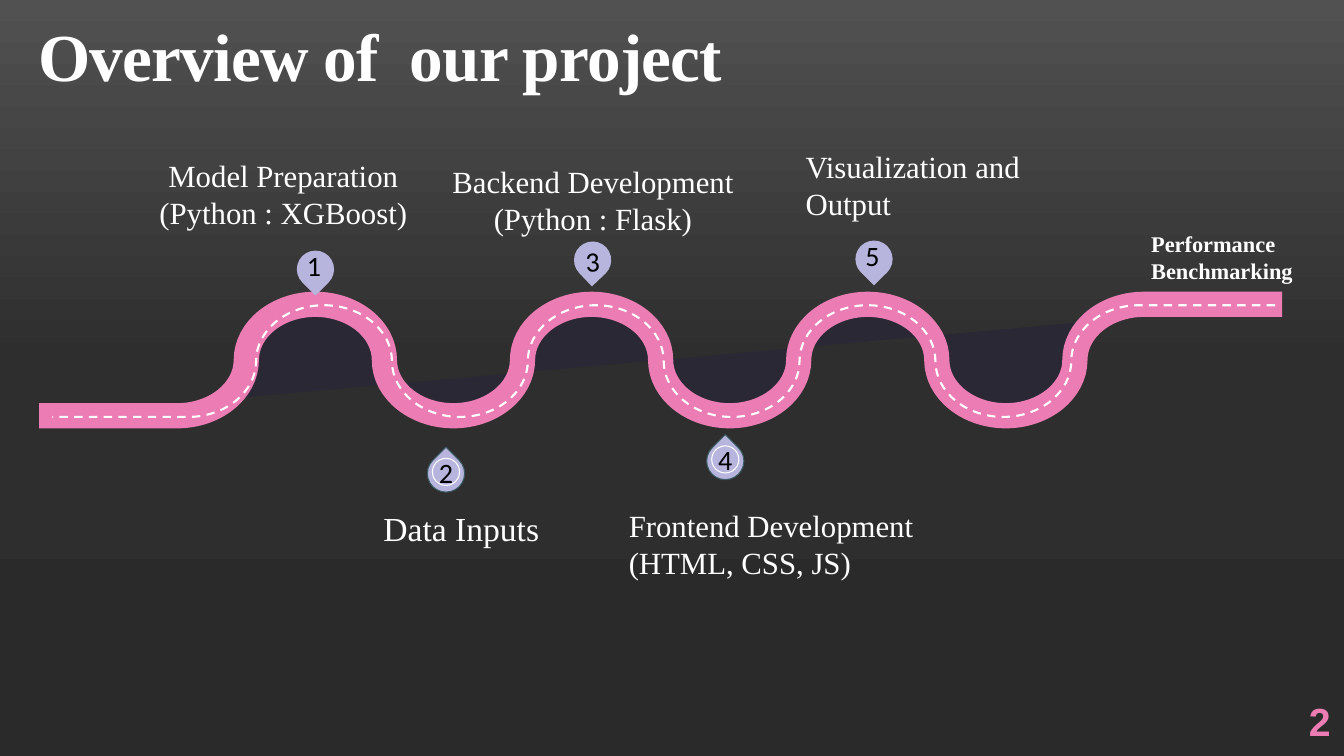
from copy import deepcopy

from lxml.etree import SubElement
from pptx import Presentation
from pptx.dml.color import RGBColor
from pptx.enum.dml import MSO_LINE
from pptx.enum.shapes import MSO_SHAPE
from pptx.enum.text import MSO_ANCHOR, MSO_AUTO_SIZE, PP_ALIGN
from pptx.oxml.ns import qn
from pptx.util import Pt

WHITE = "FFFFFF"
PINK = "EC7CB4"
LILAC = "B7B5DD"
SLATE = "3A5B63"
SERIF = "Times New Roman"
INSET = (7.2, 3.6)
ARC = 0.55


def color(value):
    return RGBColor.from_string(value)


def write(frame, text, size=22, font=SERIF, ink=WHITE, bold=False, align=PP_ALIGN.LEFT,
          anchor=MSO_ANCHOR.TOP, inset=(0, 0), line_spacing=None, tracking=None):
    frame.word_wrap = True
    frame.auto_size = MSO_AUTO_SIZE.NONE
    frame.vertical_anchor = anchor
    frame.margin_left = frame.margin_right = Pt(inset[0])
    frame.margin_top = frame.margin_bottom = Pt(inset[1])
    paragraph = frame.paragraphs[0]
    paragraph.alignment = align
    if line_spacing:
        paragraph.line_spacing = line_spacing
    run = paragraph.add_run()
    run.text = text
    run.font.size = Pt(size)
    run.font.name = font
    run.font.bold = bold
    run.font.color.rgb = color(ink)
    if tracking:
        for properties in frame._txBody.iter(qn("a:rPr")):
            properties.set("spc", str(tracking))


def wave_points(left, right, top, height):
    quarter = (right - left) / 18
    levels = (top, top + height / 2, top + height, top + height / 2)
    bends = [(right - quarter * (index + 2), levels[index % 4]) for index in range(15)]
    points = [(right, top), *bends, (left, top + height)]
    return [(Pt(x), Pt(y)) for x, y in points]


def bend_quarters(shape, points):
    corners = [(x - shape.left, y - shape.top) for x, y in points[1:-1]]
    straight = list(shape.element.iter(qn("a:lnTo")))[1:-1]
    for index, (line, start, end) in enumerate(zip(straight, corners, corners[1:])):
        (x, y), (end_x, end_y) = start, end
        across, down = end_x - x, end_y - y
        if index % 2:
            controls = [(x, y + ARC * down), (end_x - ARC * across, end_y)]
        else:
            controls = [(x + ARC * across, y), (end_x, end_y - ARC * down)]
        line.addnext(curve := SubElement(line.getparent(), qn("a:cubicBezTo")))
        for point_x, point_y in [*controls, end]:
            SubElement(curve, qn("a:pt"), x=str(round(point_x)), y=str(round(point_y)))
        line.getparent().remove(line)


class RoadmapSlide:
    def __init__(self, presentation):
        self.slide = presentation.slides.add_slide(presentation.slide_layouts[5])
        self.shapes = self.slide.shapes

    def background(self, stops):
        fill = self.slide.background.fill
        fill.gradient()
        fill.gradient_angle = 270
        first = next(self.slide.element.iter(qn("a:gs")))
        first.addnext(deepcopy(first))
        for stop, (position, value) in zip(fill.gradient_stops, stops):
            stop.position = position
            stop.color.rgb = color(value)

    def title(self, text, left, top, width, height):
        title = self.shapes.title
        title.left, title.top, title.width, title.height = map(Pt, (left, top, width, height))
        write(title.text_frame, text, size=48, bold=True, anchor=MSO_ANCHOR.BOTTOM,
              line_spacing=0.9, tracking=-60)

    def label(self, text, left, top, width, height, **style):
        box = self.shapes.add_textbox(Pt(left), Pt(top), Pt(width), Pt(height))
        write(box.text_frame, text, **style)

    def paint(self, shape, fill=None, line=None, width=0.75):
        shape.shadow.inherit = False
        if fill:
            shape.fill.solid()
            shape.fill.fore_color.rgb = color(fill)
        else:
            shape.fill.background()
        if line:
            shape.line.color.rgb = color(line)
            shape.line.width = Pt(width)
        else:
            shape.line.fill.background()

    def wave(self, left, right, top, height, **style):
        points = wave_points(left, right, top, height)
        builder = self.shapes.build_freeform(*points[0])
        builder.add_line_segments(points[1:], close=False)
        shape = builder.convert_to_shape()
        bend_quarters(shape, points)
        self.paint(shape, **style)
        return shape

    def marker(self, number, left, top, dot, turn=135, dot_turn=0, pin_line=None,
               dot_line=None, grouped=True):
        shapes = self.shapes.add_group_shape().shapes if grouped else self.shapes
        pin = shapes.add_shape(MSO_SHAPE.TEAR, Pt(left), Pt(top), Pt(26.6), Pt(26.6))
        pin.rotation = turn
        self.paint(pin, LILAC, pin_line)
        across, down, width, height = dot
        disc = shapes.add_shape(MSO_SHAPE.OVAL, Pt(left + across), Pt(top + down),
                                Pt(width), Pt(height))
        disc.rotation = dot_turn
        self.paint(disc, LILAC, dot_line)
        write(disc.text_frame, number, size=20, font="Calibri", ink="000000",
              align=PP_ALIGN.CENTER, anchor=MSO_ANCHOR.MIDDLE)


def main():
    presentation = Presentation()
    presentation.slide_width = Pt(960)
    presentation.slide_height = Pt(540)
    roadmap = RoadmapSlide(presentation)
    roadmap.background([(0, "515151"), (0.48, "2E2E2E"), (1, "2A2A2A")])
    roadmap.title("Overview of  our project", 27.4, 37.4, 597.6, 31)
    roadmap.label("2", 837.4, 500.4, 120.2, 28.8, size=28, font="Arial", ink=PINK, bold=True,
                  align=PP_ALIGN.RIGHT, anchor=MSO_ANCHOR.MIDDLE, inset=INSET)

    roadmap.wave(28, 915.8, 217.4, 79.6, fill="292834", line=PINK, width=18)
    lane = roadmap.wave(37.4, 910.8, 218, 79.8, line=WHITE, width=1.5)
    lane.line.dash_style = MSO_LINE.DASH

    upper = {"dot": (3.6, 2.9, 17.3, 15.8)}
    tilted = {"dot": (5, 3.6, 16.6, 20.9), "turn": 136.5, "dot_turn": 356.4, "grouped": False}
    lower = {"dot": (3.6, 2.5, 19.4, 19.4), "turn": 315, "pin_line": SLATE, "dot_line": WHITE}
    for number, left, top, style in [
        ("1", 212, 179, upper),
        ("2", 305.3, 324.9, lower),
        ("3", 410, 172.5, tilted),
        ("4", 504.8, 316, lower),
        ("5", 611, 171.8, upper),
    ]:
        roadmap.marker(number, left, top, **style)

    centered = {"align": PP_ALIGN.CENTER}
    inset = {"inset": INSET}
    for text, left, top, width, height, style in [
        ("Model Preparation (Python : XGBoost)", 104.8, 85, 195.1, 79.9,
         {**centered, "anchor": MSO_ANCHOR.BOTTOM}),
        ("Data Inputs", 266.8, 359.3, 175, 36, {**inset, "size": 24}),
        ("Backend Development (Python : Flask)", 314.4, 116.3, 218.2, 41.8, centered),
        ("Frontend Development (HTML, CSS, JS)", 442.1, 358.6, 226.1, 60.5, inset),
        ("Visualization and Output", 568.4, 102.2, 201.6, 60.5, inset),
        ("Performance Benchmarking", 815.2, 161, 121, 46.1, {**inset, "size": 16, "bold": True}),
    ]:
        roadmap.label(text, left, top, width, height, **style)

    presentation.save("out.pptx")


if __name__ == "__main__":
    main()
